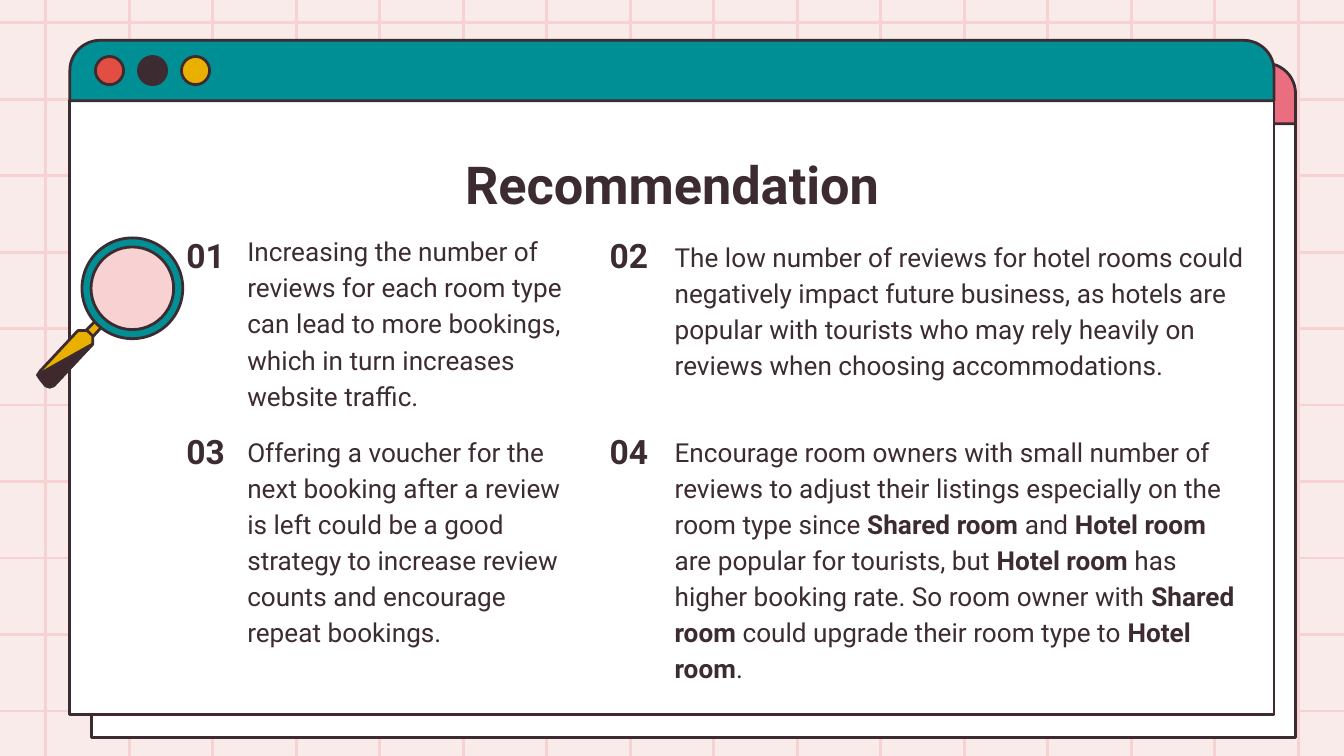
"""Build the Recommendation slide: four numbered points in a browser window."""
from lxml.etree import SubElement
from pptx import Presentation
from pptx.dml.color import RGBColor
from pptx.enum.shapes import MSO_CONNECTOR, MSO_SHAPE
from pptx.enum.text import MSO_ANCHOR, MSO_AUTO_SIZE, PP_ALIGN
from pptx.oxml.ns import qn
from pptx.util import Inches, Pt

COLORS = {
    "background": "FAEBEB", "grid": "F8D2D2", "ink": "3C2C31", "paper": "FFFFFF",
    "teal": "008F95", "pink": "EB6E80", "red": "E24E42", "yellow": "E9B000",
    "grip": "3E282C",
}


def paint(shape, color):
    shape.shadow.inherit = False
    shape.fill.solid()
    shape.fill.fore_color.rgb = RGBColor.from_string(COLORS[color])
    shape.line.color.rgb = RGBColor.from_string(COLORS["ink"])
    shape.line.width = Pt(1.5)


def write(box, text, size, bold=False, align=PP_ALIGN.LEFT, anchor=MSO_ANCHOR.TOP):
    frame = box.text_frame
    frame.word_wrap = True
    frame.auto_size = MSO_AUTO_SIZE.NONE
    frame.vertical_anchor = anchor
    frame.margin_left = frame.margin_right = Inches(0.1)
    frame.margin_top = frame.margin_bottom = Inches(0.1)
    para = frame.paragraphs[0]
    para.alignment = align
    for index, part in enumerate(text.split("**")):
        span = para.add_run()
        span.text = part
        span.font.name = "Roboto"
        span.font.size = Pt(size)
        span.font.bold = bold or index % 2 == 1
        span.font.color.rgb = RGBColor.from_string(COLORS["ink"])
    return para


deck = Presentation()
deck.slide_width, deck.slide_height = Inches(10), Inches(10 * 9 / 16)
page = deck.slides.add_slide(deck.slide_layouts[5])
page.background.fill.solid()
page.background.fill.fore_color.rgb = RGBColor.from_string(COLORS["background"])

columns = [0.34 + 9.32 / 15 * index for index in range(16)]
rows = [0.17 + 5.12 / 9 * index for index in range(10)]
grid = [(x, 5.82, x, -0.36) for x in columns] + [(-0.22, y, 10.22, y) for y in rows]
for ends in grid:
    line = page.shapes.add_connector(MSO_CONNECTOR.STRAIGHT, *map(Inches, ends))
    line.line.color.rgb = RGBColor.from_string(COLORS["grid"])
    line.line.width = Pt(1.5)
    SubElement(line.element.spPr, qn("a:effectLst"))

for left, top, bar_color in [(0.68, 0.47, "pink"), (0.52, 0.3, "teal")]:
    sheet = page.shapes.add_shape(
        MSO_SHAPE.RECTANGLE, Inches(left), Inches(top + 0.45), Inches(8.96), Inches(4.57))
    paint(sheet, "paper")
    bar = page.shapes.add_shape(
        MSO_SHAPE.ROUND_2_SAME_RECTANGLE, Inches(left), Inches(top), Inches(8.96), Inches(0.45))
    bar.adjustments[0] = 0.5
    paint(bar, bar_color)
    for index, color in enumerate(["red", "ink", "yellow"]):
        button = page.shapes.add_shape(
            MSO_SHAPE.OVAL, Inches(left + 0.19 + 0.32 * index), Inches(top + 0.12),
            Inches(0.21), Inches(0.21))
        paint(button, color)

title = page.shapes.title
title.left, title.top, title.width, title.height = map(Inches, (0.98, 1.03, 8.04, 0.63))
write(title, "Recommendation", 28, True, PP_ALIGN.CENTER)
title.element.getparent().append(title.element)

grip_end = [(28, 279), (30, 282), (34, 287), (37, 288), (40, 287), (69, 256)]
handle_parts = [
    ("yellow", [(66, 254), (61, 249), (72, 238), (77, 242)]),
    ("yellow", grip_end + [(69, 250), (65, 246), (58, 246), (30, 276)]),
    ("grip", grip_end),
]
for color, corners in handle_parts:
    outline = page.shapes.build_freeform(*corners[0], scale=Inches(0.01))
    outline.add_line_segments(corners[1:], close=True)
    paint(outline.convert_to_shape(), color)
lens = page.shapes.add_shape(
    MSO_SHAPE.OVAL, Inches(0.66), Inches(1.81), Inches(0.67), Inches(0.67))
paint(lens, "grid")
rim = page.shapes.add_shape(
    MSO_SHAPE.DONUT, Inches(0.61), Inches(1.77), Inches(0.75), Inches(0.75))
rim.adjustments[0] = 0.09
paint(rim, "teal")

recommendations = [
    ("01", 0.49, 1.3, (1.24, 1.62, 3.18, 1.17),
     "Increasing the number of reviews for each room type can lead to more bookings, "
     "which in turn increases website traffic."),
    ("02", 3.64, 1.3, (4.42, 1.66, 4.97, 1.58),
     "The low number of reviews for hotel rooms could negatively impact future business, "
     "as hotels are popular with tourists who may rely heavily on reviews when choosing "
     "accommodations."),
    ("03", 0.49, 2.76, (1.24, 3.11, 3.04, 1.48),
     "Offering a voucher for the next booking after a review is left could be a good "
     "strategy to increase review counts and encourage repeat bookings."),
    ("04", 3.64, 2.76, (4.42, 3.11, 4.97, 1.58),
     "Encourage room owners with small number of reviews to adjust their listings "
     "especially on the room type since **Shared room** and **Hotel room** are popular "
     "for tourists, but **Hotel room** has higher booking rate. So room owner with "
     "**Shared room** could upgrade their room type to **Hotel room**."),
]
for number, left, top, place, advice in recommendations:
    box = page.shapes.add_textbox(*map(Inches, place))
    para = write(box, advice, 14)
    para.line_spacing = 1.15
    box.text_frame.margin_left = Inches(0.6)
    label = page.shapes.add_textbox(Inches(left), Inches(top), Inches(2.08), Inches(1.19))
    write(label, number, 18, True, PP_ALIGN.CENTER, MSO_ANCHOR.MIDDLE)

deck.save("out.pptx")
